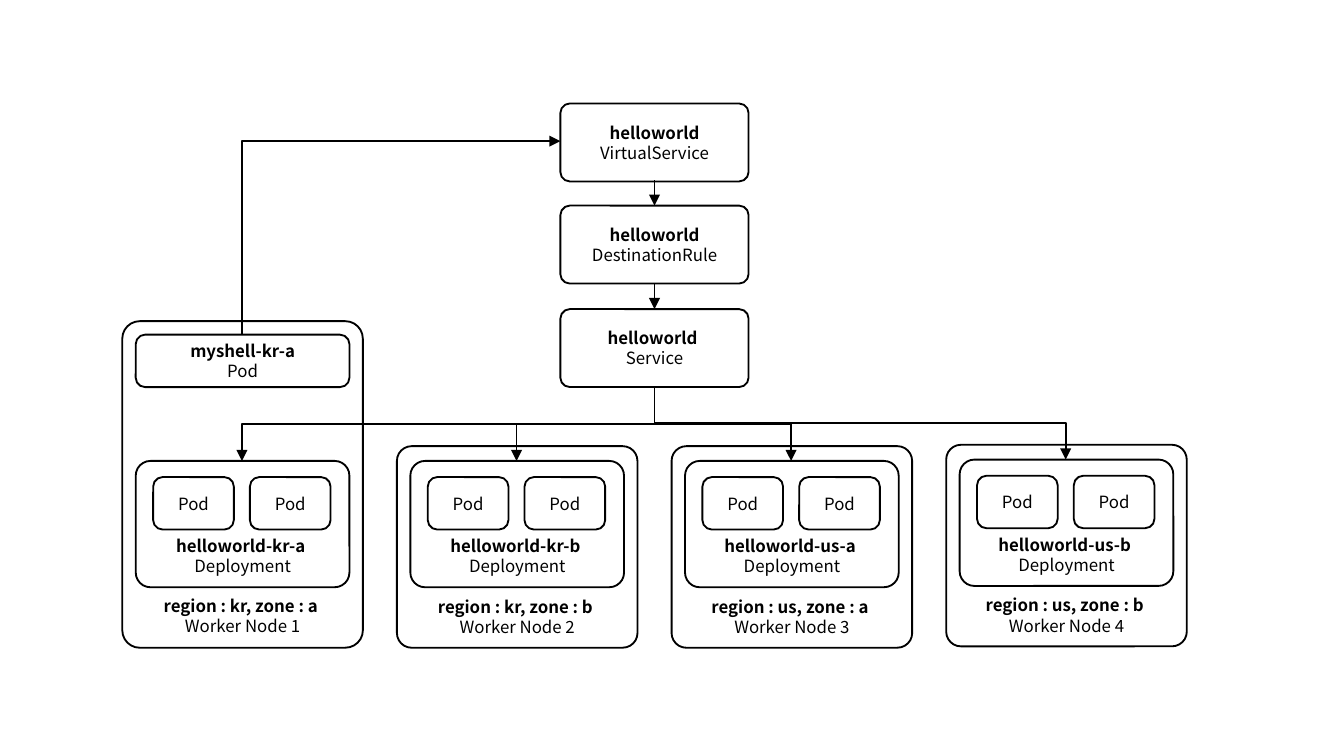
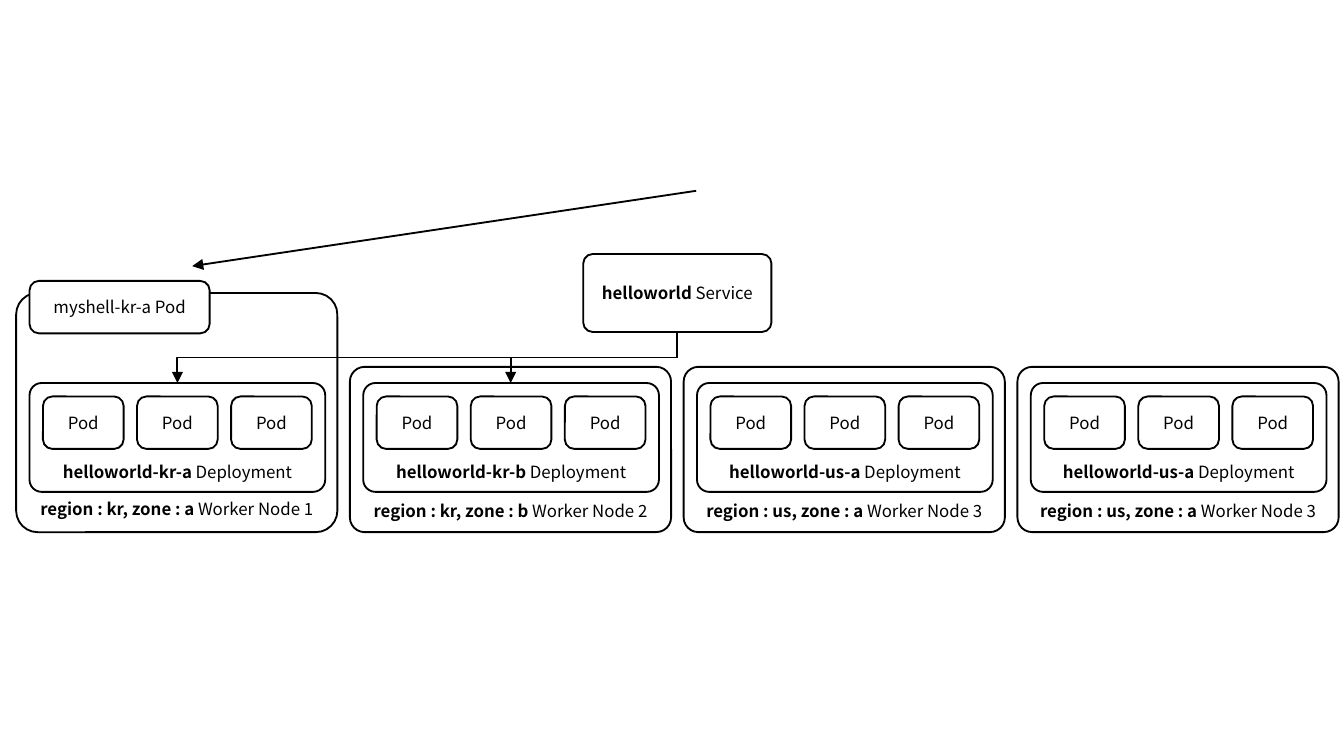
from pptx import Presentation
from pptx.dml.color import RGBColor
from pptx.enum.shapes import MSO_CONNECTOR as CONN, MSO_SHAPE
from pptx.enum.text import MSO_ANCHOR as ANCHOR, PP_ALIGN
from pptx.oxml.ns import qn
from pptx.util import Inches, Pt
from lxml import etree

BLACK = RGBColor(0x00, 0x00, 0x00)
WHITE = RGBColor(0xFF, 0xFF, 0xFF)
FONT = "Noto Sans CJK KR"


def add_box(shapes, x, y, w, h, radius, bold, plain, anchor=ANCHOR.MIDDLE, stacked=False):
    sp = shapes.add_shape(MSO_SHAPE.ROUNDED_RECTANGLE, Inches(x), Inches(y), Inches(w), Inches(h))
    sp.adjustments[0] = radius / min(w, h)
    sp.shadow.inherit = False
    sp.fill.solid()
    sp.fill.fore_color.rgb = WHITE
    sp.line.color.rgb = BLACK
    sp.line.width = Pt(1)
    tf = sp.text_frame
    tf.word_wrap = True
    tf.vertical_anchor = anchor
    p = tf.paragraphs[0]
    for text, is_bold in ((bold, True), (plain, False)):
        if not text:
            continue
        if stacked and not is_bold:
            p = tf.add_paragraph()
        r = p.add_run()
        r.text = text
        r.font.bold = is_bold
    for p in tf.paragraphs:
        p.alignment = PP_ALIGN.CENTER
        p.font.name = FONT
        p.font.size = Pt(9)
        p.font.color.rgb = BLACK


def add_arrow(s, x1, y1, x2, y2, elbow=None, weight=1):
    kind, rightward = CONN.STRAIGHT, x2 > x1
    if elbow:
        kind = CONN.ELBOW
        w, h = abs(y2 - y1), abs(x2 - x1)
        left, top = (x1 + x2 - w) / 2, (y1 + y2 - h) / 2
        flipped = rightward and y2 > y1
        x1, x2 = (left + w, left) if flipped else (left, left + w)
        y1, y2 = top, top + h
    cx = s.shapes.add_connector(kind, Inches(x1), Inches(y1), Inches(x2), Inches(y2))
    cx.line.color.rgb = BLACK
    cx.line.width = Pt(weight)
    spPr = cx._element.spPr
    if elbow:
        spPr.find(qn("a:xfrm")).set("rot", str((270 if rightward else 90) * 60000))
        spPr.find(qn("a:prstGeom")).set("prst", elbow)
    etree.SubElement(spPr.find(qn("a:ln")), qn("a:tailEnd"), type="triangle")
    etree.SubElement(spPr, qn("a:effectLst"))


prs = Presentation()
prs.slide_width, prs.slide_height = Inches(10), Inches(5.625)
blank = prs.slide_layouts[6]

s = prs.slides.add_slide(blank)
zones = [("kr", "a"), ("kr", "b"), ("us", "a"), ("us", "b")]
targets = []
for i, (region, zone) in enumerate(zones):
    x = 0.91 + i * 6.13 / 3
    y = 3.42 if i == 3 else 3.43
    top = 2.39 if i == 0 else y - 0.11
    add_box(s.shapes, x, top, 1.79, y + 1.39 - top, 0.11 if i else 0.13,
            f"region : {region}, zone : {zone} ", f"Worker Node {i + 1}", ANCHOR.BOTTOM, True)
    add_box(s.shapes, x + 0.1, y, 1.59, 0.94, 0.11,
            f"helloworld-{region}-{zone} ", "Deployment", ANCHOR.BOTTOM, True)
    pods = s.shapes.add_group_shape()
    for j in range(2):
        add_box(pods.shapes, x + 0.23 + j * 0.72, y + 0.12, 0.6, 0.39, 0.07, "", "Pod")
    targets.append((x + 0.89, y))

add_box(s.shapes, 1.01, 2.49, 1.59, 0.39, 0.07, "myshell-kr-a", "Pod", stacked=True)
add_box(s.shapes, 4.17, 2.3, 1.4, 0.58, 0.07, "helloworld ", "Service", stacked=True)
for x, y in targets:
    add_arrow(s, 4.87, 2.88, x, y, "bentConnector3")
for y, kind in ((1.53, "DestinationRule"), (0.77, "VirtualService")):
    add_box(s.shapes, 4.17, y, 1.4, 0.58, 0.07, "helloworld", f" {kind}")
add_arrow(s, 1.8, 2.49, 4.17, 1.05, "bentConnector2")
for y in (1.34, 2.11):
    add_arrow(s, 4.87, y, 4.87, y + 0.19, weight=0.75)

s = prs.slides.add_slide(blank)
nodes = [("kr", "a", 1), ("kr", "b", 2), ("us", "a", 3), ("us", "a", 3)]
for i, (region, zone, number) in enumerate(nodes):
    x = 0.12 + i * 7.45 / 3
    top = 2.73 if i else 2.18
    add_box(s.shapes, x, top, 2.39, 3.96 - top, 0.11 if i else 0.16,
            f"region : {region}, zone : {zone} ", f"Worker Node {number}", ANCHOR.BOTTOM)
    add_box(s.shapes, x + 0.1, 2.85, 2.2, 0.81, 0.09,
            f"helloworld-{region}-{zone}", " Deployment", ANCHOR.BOTTOM)
    for j in range(3):
        add_box(s.shapes, x + 0.2 + j * 0.7, 2.95, 0.6, 0.39, 0.07, "", "Pod")

add_box(s.shapes, 0.22, 2.09, 1.34, 0.39, 0.07, "", "myshell-kr-a Pod")
add_box(s.shapes, 4.34, 1.89, 1.4, 0.58, 0.07, "helloworld", " Service")
add_arrow(s, 5.18, 1.42, 1.43, 1.98)
for x in (1.32, 3.8):
    add_arrow(s, 5.04, 2.47, x, 2.85, "bentConnector3")

prs.save("out.pptx")
